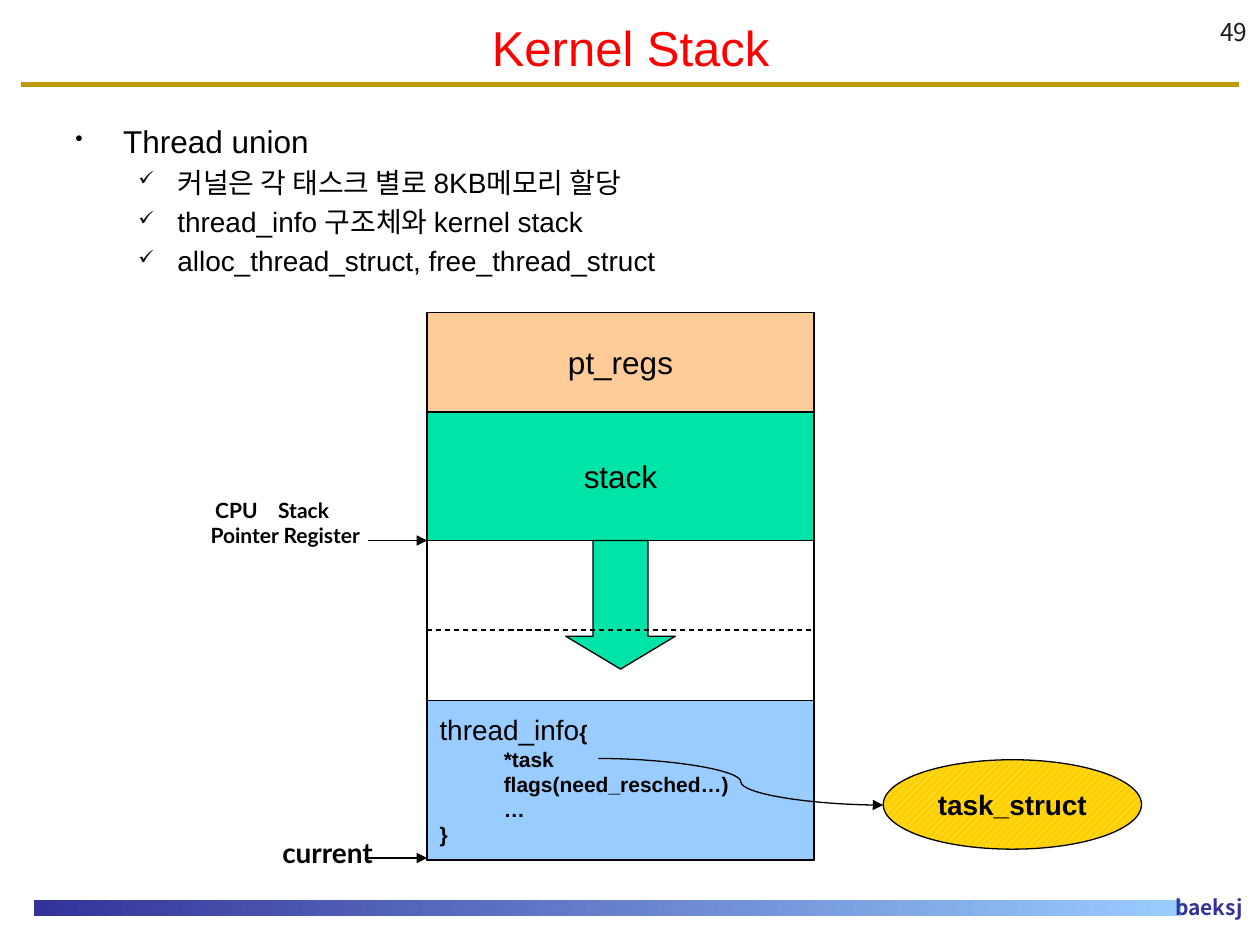
from dataclasses import dataclass
from typing import Optional

from lxml import etree
from pptx import Presentation
from pptx.dml.color import RGBColor
from pptx.enum.dml import MSO_LINE, MSO_PATTERN
from pptx.enum.shapes import MSO_CONNECTOR, MSO_SHAPE
from pptx.enum.text import MSO_ANCHOR, PP_ALIGN
from pptx.oxml.ns import qn
from pptx.util import Inches, Pt

RECTANGLE, DOWN_ARROW, ELLIPSE = MSO_SHAPE.RECTANGLE, MSO_SHAPE.DOWN_ARROW, MSO_SHAPE.OVAL
STRAIGHT, CURVE = MSO_CONNECTOR.STRAIGHT, MSO_CONNECTOR.CURVE
LEFT, CENTER, RIGHT = PP_ALIGN.LEFT, PP_ALIGN.CENTER, PP_ALIGN.RIGHT
TOP, MIDDLE, BOTTOM = MSO_ANCHOR.TOP, MSO_ANCHOR.MIDDLE, MSO_ANCHOR.BOTTOM
DASH = MSO_LINE.DASH
WIDE_DIAGONAL = MSO_PATTERN.WIDE_UPWARD_DIAGONAL

BLACK = RGBColor(0x00, 0x00, 0x00)
CHARCOAL = RGBColor(0x1C, 0x1C, 0x1C)
RED = RGBColor(0xFF, 0x00, 0x00)
GOLD = RGBColor(0xBE, 0x9A, 0x00)
NAVY = RGBColor(0x33, 0x33, 0x99)
SKY = RGBColor(0x99, 0xCC, 0xFF)
GREEN = RGBColor(0x00, 0xE4, 0xA8)
PEACH = RGBColor(0xFF, 0xCC, 0x99)
YELLOW = RGBColor(0xFF, 0xCF, 0x01)
PALE_YELLOW = RGBColor(0xFF, 0xFF, 0x99)

SANS, LABEL, KOREAN = "Arial", "Lato", "Noto Sans CJK KR"
STACK_LEFT, STACK_WIDTH = 3.39, 3.07
STACK_RIGHT = STACK_LEFT + STACK_WIDTH
STACK_TOP, STACK_HEIGHT = 2.48, 4.35
STACK_POINTER = 4.29


@dataclass(frozen=True)
class Style:
    size: float
    font: str = SANS
    color: RGBColor = BLACK
    bold: bool = False
    align: PP_ALIGN = CENTER
    anchor: MSO_ANCHOR = TOP


@dataclass(frozen=True)
class Label:
    text: str
    left: float
    top: float
    width: float
    height: float
    style: Style


@dataclass(frozen=True)
class Region:
    top: float
    height: float
    fill: Optional[RGBColor] = None
    text: str = ""


@dataclass(frozen=True)
class Line:
    start: tuple[float, float]
    end: tuple[float, float]
    color: RGBColor = BLACK
    width: float = 0.75
    kind: MSO_CONNECTOR = STRAIGHT
    dashed: bool = False
    arrow: bool = False


LABELS = [
    Label("baeksj", 8.86, 7.05, 1.1, 0.3, Style(12, KOREAN, NAVY, True, RIGHT)),
    Label("49", 7.92, 0.17, 2.08, 0.25, Style(14, KOREAN, CHARCOAL, align=RIGHT, anchor=BOTTOM)),
    Label("Kernel Stack", 0.17, 0.08, 9.67, 0.58, Style(28, color=RED, anchor=MIDDLE)),
    Label("current", 1.97, 6.58, 1.26, 0.37, Style(16, LABEL, bold=True)),
]
BULLETS = [
    ("Thread union", 0),
    ("커널은 각 태스크 별로 8KB메모리 할당", 1),
    ("thread_info 구조체와 kernel stack", 1),
    ("alloc_thread_struct, free_thread_struct", 1),
]
BULLET_LEVELS = [("•", 0.38, 0.38, Style(18, align=LEFT)), ("✓", 0.81, 0.31, Style(16, align=LEFT))]
REGIONS = [
    Region(STACK_TOP, STACK_HEIGHT),
    Region(STACK_TOP, 0.79, PEACH, "pt_regs"),
    Region(3.27, 1.02, GREEN, "stack"),
]
LINES = [
    Line((STACK_LEFT, 5), (STACK_RIGHT, 5), dashed=True),
    Line((2.92, STACK_POINTER), (STACK_LEFT, STACK_POINTER), arrow=True),
    Line((2.92, 6.81), (STACK_LEFT, 6.81), arrow=True),
    Line((4.75, 6.02), (7.01, 6.39), kind=CURVE, arrow=True),
]


def style_paragraph(paragraph, style: Style) -> None:
    paragraph.alignment = style.align
    for run in paragraph.runs:
        run.font.size = Pt(style.size)
        run.font.name = style.font
        run.font.bold = style.bold
        run.font.color.rgb = style.color


def write(shape, text: str, style: Style) -> None:
    frame = shape.text_frame
    frame.word_wrap = True
    frame.vertical_anchor = style.anchor
    frame.text = text
    for paragraph in frame.paragraphs:
        style_paragraph(paragraph, style)


def indent(paragraph, left: float, hanging: float = 0):
    properties = paragraph._p.get_or_add_pPr()
    properties.set("marL", str(Inches(left)))
    properties.set("indent", str(-Inches(hanging)))
    return properties


def add_label(slide, label: Label):
    box = slide.shapes.add_textbox(
        Inches(label.left), Inches(label.top), Inches(label.width), Inches(label.height))
    write(box, label.text, label.style)
    return box


def add_block(slide, kind: MSO_SHAPE, left: float, top: float, width: float, height: float,
              fill: Optional[RGBColor] = None):
    shape = slide.shapes.add_shape(kind, Inches(left), Inches(top), Inches(width), Inches(height))
    shape.shadow.inherit = False
    shape.line.color.rgb = BLACK
    shape.line.width = Pt(0.75)
    if fill is None:
        shape.fill.background()
    else:
        shape.fill.solid()
        shape.fill.fore_color.rgb = fill
    return shape


def add_region(slide, region: Region):
    shape = add_block(slide, RECTANGLE, STACK_LEFT, region.top, STACK_WIDTH, region.height, region.fill)
    if region.text:
        write(shape, region.text, Style(18, anchor=MIDDLE))
    return shape


def add_line(slide, line: Line) -> None:
    connector = slide.shapes.add_connector(line.kind, *map(Inches, line.start + line.end))
    connector.line.color.rgb = line.color
    connector.line.width = Pt(line.width)
    if line.dashed:
        connector.line.dash_style = DASH
    if line.arrow:
        etree.SubElement(connector.line._get_or_add_ln(), qn("a:tailEnd"), type="triangle")
    etree.SubElement(connector._element.spPr, qn("a:effectLst"))


def add_footer_bar(slide) -> None:
    bar = add_block(slide, RECTANGLE, 0.27, 7.14, 9.1, 0.13)
    bar.line.fill.background()
    bar.fill.gradient()
    bar.fill.gradient_angle = 0
    for stop, color in zip(bar.fill.gradient_stops, (NAVY, SKY)):
        stop.color.rgb = color


def add_bullets(slide) -> None:
    text = "\n".join(item for item, _ in BULLETS)
    box = add_label(slide, Label(text, 0.5, 0.92, 9, 1.4, Style(16)))
    for index, (paragraph, (_, level)) in enumerate(zip(box.text_frame.paragraphs, BULLETS)):
        character, left, hanging, style = BULLET_LEVELS[level]
        paragraph.level = level
        if index:
            paragraph.space_before = Pt(style.size * 0.2)
        properties = indent(paragraph, left, hanging)
        color = etree.SubElement(properties, qn("a:buClr"))
        etree.SubElement(color, qn("a:srgbClr"), val=str(BLACK))
        etree.SubElement(properties, qn("a:buSzPct"), val="70000")
        etree.SubElement(properties, qn("a:buChar"), char=character)
        style_paragraph(paragraph, style)


def add_thread_info(slide) -> None:
    shape = add_region(slide, Region(5.56, 1.26, SKY))
    code = Style(12, bold=True, align=LEFT, anchor=MIDDLE)
    write(shape, "thread_info\n*task\nflags(need_resched…)\n…\n}", code)
    heading, *fields, _ = shape.text_frame.paragraphs
    heading.add_run().text = "{"
    style_paragraph(heading, code)
    heading.runs[0].font.size = Pt(16)
    heading.runs[0].font.bold = False
    for field in fields:
        indent(field, 0.51)


def add_register_label(slide) -> None:
    style = Style(12, LABEL, bold=True)
    box = add_label(slide, Label("CPU\tStack\nPointer Register", 1.56, 3.9, 1.41, 0.71, style))
    first = box.text_frame.paragraphs[0]
    first.alignment = LEFT
    tabs = etree.SubElement(indent(first, 0.05), qn("a:tabLst"))
    etree.SubElement(tabs, qn("a:tab"), pos=str(Inches(0.75)), algn="l")


def main() -> None:
    presentation = Presentation()
    presentation.slide_width, presentation.slide_height = Inches(10), Inches(7.5)
    slide = presentation.slides.add_slide(presentation.slide_layouts[6])
    add_line(slide, Line((0.17, 0.67), (9.83, 0.67), GOLD, 3))
    add_footer_bar(slide)
    add_bullets(slide)
    for region in REGIONS:
        add_region(slide, region)
    add_thread_info(slide)
    arrow = add_block(slide, DOWN_ARROW, 4.49, STACK_POINTER, 0.87, 1.02, GREEN)
    arrow.adjustments[1] = 0.3
    task = add_block(slide, ELLIPSE, 7.01, 6.03, 2.05, 0.71)
    task.fill.patterned()
    task.fill.pattern = WIDE_DIAGONAL
    task.fill.fore_color.rgb = PALE_YELLOW
    task.fill.back_color.rgb = YELLOW
    write(task, "task_struct", Style(16, bold=True, anchor=MIDDLE))
    for line in LINES:
        add_line(slide, line)
    add_register_label(slide)
    for label in LABELS:
        add_label(slide, label)
    presentation.save("out.pptx")


if __name__ == "__main__":
    main()
